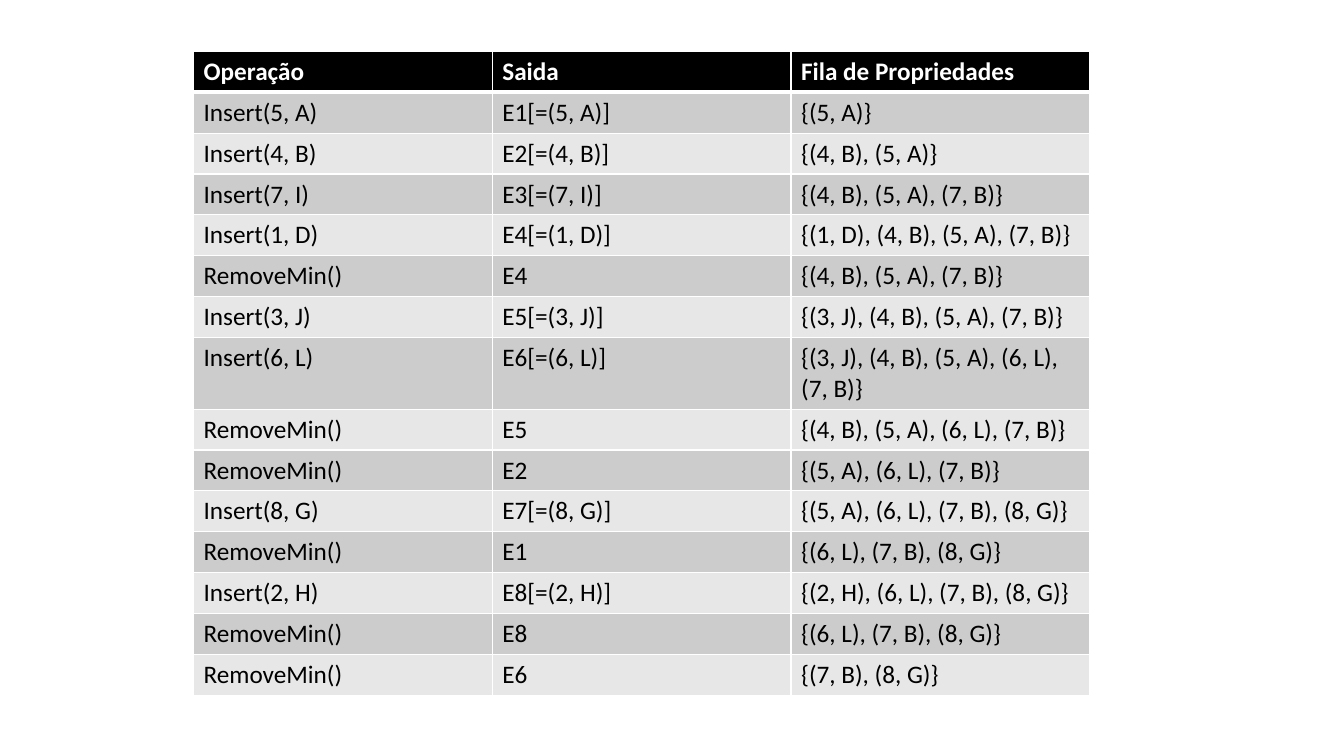
from dataclasses import dataclass

from lxml.etree import SubElement
from pptx import Presentation
from pptx.dml.color import RGBColor
from pptx.oxml.ns import qn
from pptx.util import Inches, Pt


@dataclass(frozen=True)
class Theme:
    font: str = "Calibri"
    size: int = 18
    header_fill: str = "000000"
    header_text: str = "FFFFFF"
    body_fills: tuple = ("CCCCCC", "E7E7E7")
    body_text: str = "000000"
    border: str = "FFFFFF"
    thin: int = 1
    thick: int = 3


THEME = Theme()

HEADINGS = ("Operação", "Saida", "Fila de Propriedades")
OPERATIONS = (
    ("Insert(5, A)", "E1[=(5, A)]", "{(5, A)}"),
    ("Insert(4, B)", "E2[=(4, B)]", "{(4, B), (5, A)}"),
    ("Insert(7, I)", "E3[=(7, I)]", "{(4, B), (5, A), (7, B)}"),
    ("Insert(1, D)", "E4[=(1, D)]", "{(1, D), (4, B), (5, A), (7, B)}"),
    ("RemoveMin()", "E4", "{(4, B), (5, A), (7, B)}"),
    ("Insert(3, J)", "E5[=(3, J)]", "{(3, J), (4, B), (5, A), (7, B)}"),
    ("Insert(6, L)", "E6[=(6, L)]", "{(3, J), (4, B), (5, A), (6, L), (7, B)}"),
    ("RemoveMin()", "E5", "{(4, B), (5, A), (6, L), (7, B)}"),
    ("RemoveMin()", "E2", "{(5, A), (6, L), (7, B)}"),
    ("Insert(8, G)", "E7[=(8, G)]", "{(5, A), (6, L), (7, B), (8, G)}"),
    ("RemoveMin()", "E1", "{(6, L), (7, B), (8, G)}"),
    ("Insert(2, H)", "E8[=(2, H)]", "{(2, H), (6, L), (7, B), (8, G)}"),
    ("RemoveMin()", "E8", "{(6, L), (7, B), (8, G)}"),
    ("RemoveMin()", "E6", "{(7, B), (8, G)}"),
)


def set_borders(cell, widths):
    """Draw the cell's edges; call before the fill is set."""
    properties = cell._tc.get_or_add_tcPr()
    for edge, width in widths.items():
        line = SubElement(properties, qn(f"a:ln{edge}"), w=str(Pt(width)))
        fill = SubElement(line, qn("a:solidFill"))
        SubElement(fill, qn("a:srgbClr"), val=THEME.border)


def write_cell(cell, text, row):
    is_header = row == 0
    # Thick rule between the header and the first operation
    set_borders(cell, {
        "L": THEME.thin,
        "R": THEME.thin,
        "T": THEME.thick if row == 1 else THEME.thin,
        "B": THEME.thick if is_header else THEME.thin,
    })
    # Black header, alternating grey bands below
    band = THEME.header_fill if is_header else THEME.body_fills[(row - 1) % 2]
    cell.fill.solid()
    cell.fill.fore_color.rgb = RGBColor.from_string(band)
    # Text
    cell.text = text
    font = cell.text_frame.paragraphs[0].runs[0].font
    formats = {"name": THEME.font, "size": Pt(THEME.size), "bold": is_header}
    for name, value in formats.items():
        setattr(font, name, value)
    color = THEME.header_text if is_header else THEME.body_text
    font.color.rgb = RGBColor.from_string(color)


def add_operations_table(page):
    lines = (HEADINGS, *OPERATIONS)
    table = page.shapes.add_table(
        len(lines), len(HEADINGS),
        Inches(1.92), Inches(0.51), Inches(8.89), Inches(6.08),
    ).table
    # The row with the longest queue holds two lines of text
    table.rows[7].height = Inches(0.71)
    for row, texts in enumerate(lines):
        for column, text in enumerate(texts):
            write_cell(table.cell(row, column), text, row)


def main():
    deck = Presentation()
    deck.slide_width = Inches(13.33)
    deck.slide_height = Inches(7.5)
    page = deck.slides.add_slide(deck.slide_layouts[6])
    add_operations_table(page)
    deck.save("out.pptx")


if __name__ == "__main__":
    main()
